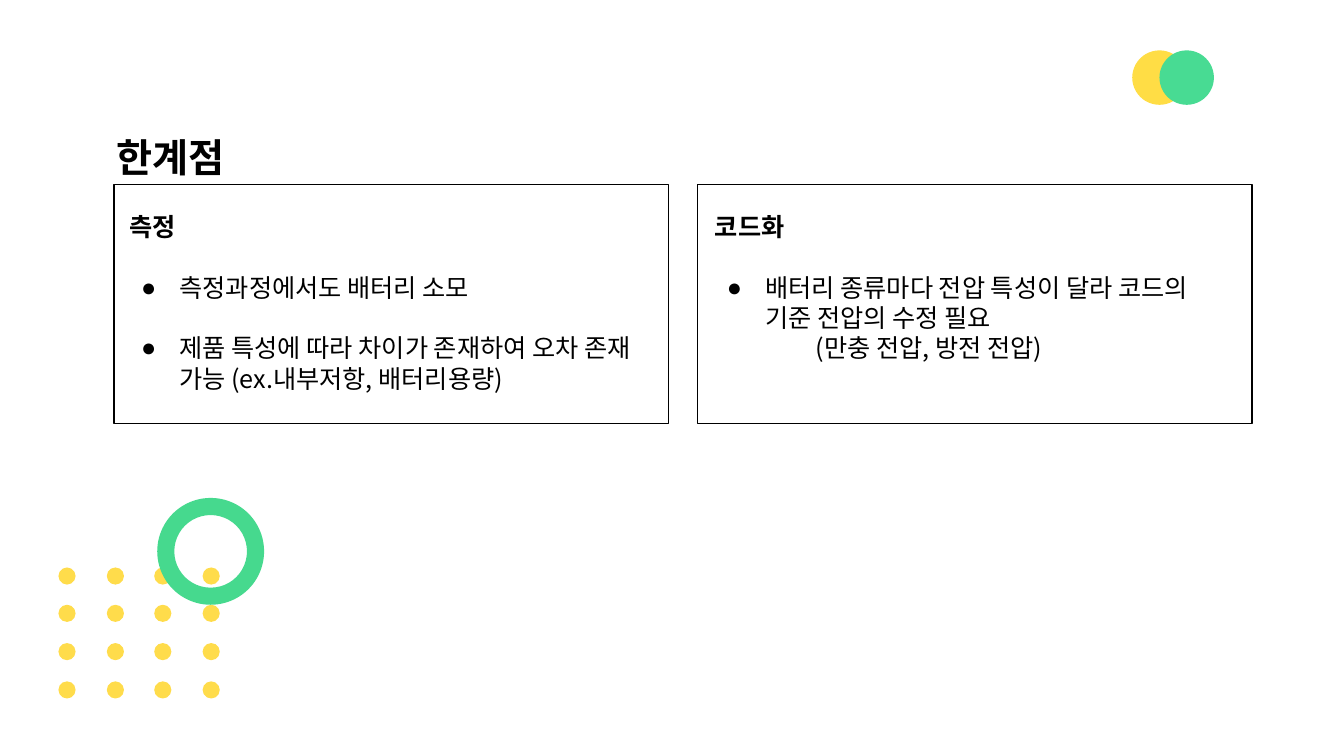
from itertools import product

from lxml import etree
from pptx import Presentation
from pptx.dml.color import RGBColor
from pptx.enum.shapes import MSO_SHAPE
from pptx.enum.text import MSO_ANCHOR, MSO_AUTO_SIZE, PP_ALIGN
from pptx.oxml.ns import qn
from pptx.util import Emu, Pt

PX = 9144
RECTANGLE, OVAL, DONUT = MSO_SHAPE.RECTANGLE, MSO_SHAPE.OVAL, MSO_SHAPE.DONUT
TOP, LEFT, GROW = MSO_ANCHOR.TOP, PP_ALIGN.LEFT, MSO_AUTO_SIZE.SHAPE_TO_FIT_TEXT
TWO_CONTENT = 3
COLORS = {"ink": "000000", "yellow": "FFDD45", "green": "48DB93",
          "dot": "FFDC4B", "ring": "46D98E"}
TITLE_FONT, BODY_FONT = "Arial", "Noto Sans CJK KR"
BODY_SIZE, BLANK_LINE = 18, 21.6


class SlideBuilder:
    """Draws styled elements on one slide, with lengths in hundredths of an inch."""

    def __init__(self, deck):
        self.page = deck.slides.add_slide(deck.slide_layouts[TWO_CONTENT])

    def color(self, name):
        return RGBColor.from_string(COLORS[name])

    def shape(self, kind, left, top, width, height, fill=None, line=None):
        shape = self.page.shapes.add_shape(
            kind, *(Emu(value * PX) for value in (left, top, width, height)))
        shape.shadow.inherit = False
        if fill:
            shape.fill.solid()
            shape.fill.fore_color.rgb = self.color(fill)
        else:
            shape.fill.background()
        if line:
            shape.line.color.rgb = self.color(line)
            shape.line.width = Pt(1)
        else:
            shape.line.fill.background()
        return shape

    def placeholder(self, index, left, top, width, height, inset):
        box = self.page.placeholders[index]
        box.left, box.top = Emu(left * PX), Emu(top * PX)
        box.width, box.height = Emu(width * PX), Emu(height * PX)
        frame = box.text_frame
        frame.word_wrap, frame.auto_size = True, GROW
        frame.vertical_anchor = TOP
        frame.margin_left = frame.margin_right = Emu(10 * PX)
        frame.margin_top = frame.margin_bottom = Emu(inset * PX)
        return frame

    def add_text(self, para, text, font, size, bold=False, before=0):
        para.alignment = LEFT
        para.space_before = Pt(before)
        span = para.add_run()
        span.text = text
        span.font.name, span.font.size, span.font.bold = font, Pt(size), bold
        span.font.color.rgb = self.color("ink")
        east_asian = etree.SubElement(span.font._element, qn("a:ea"))
        east_asian.set("typeface", BODY_FONT)

    def indent(self, para, margin, first, bullet=None):
        properties = para._p.get_or_add_pPr()
        properties.set("marL", str(margin * PX))
        properties.set("indent", str(first * PX))
        if bullet:
            tint = etree.SubElement(properties, qn("a:buClr"))
            etree.SubElement(tint, qn("a:srgbClr")).set("val", COLORS["ink"])
            etree.SubElement(properties, qn("a:buChar")).set("char", bullet)
        else:
            etree.SubElement(properties, qn("a:buNone"))

    def title(self, text, *place):
        para = self.placeholder(0, *place, inset=5).paragraphs[0]
        para.line_spacing = 1.5
        self.add_text(para, text, TITLE_FONT, 28, bold=True)

    def topic(self, index, heading, bullets, note, *place):
        frame = self.placeholder(index, *place, inset=10)
        para = frame.paragraphs[0]
        self.add_text(para, heading, BODY_FONT, BODY_SIZE, bold=True)
        self.indent(para, 0, 0)
        for text in bullets:
            para = frame.add_paragraph()
            self.add_text(para, text, BODY_FONT, BODY_SIZE, before=BLANK_LINE)
            self.indent(para, 50, -38, "●")
        if note:
            para = frame.add_paragraph()
            self.add_text(para, note, BODY_FONT, BODY_SIZE)
            self.indent(para, 100, 0)


def main():
    deck = Presentation()
    deck.slide_width, deck.slide_height = Emu(1333 * PX), Emu(750 * PX)
    slide = SlideBuilder(deck)

    for left in (113, 692):
        slide.shape(RECTANGLE, left, 183, 550, 237, line="ink")
    for left, fill in ((1123, "yellow"), (1150, "green")):
        slide.shape(OVAL, left, 50, 54, 54, fill)
    for row, column in product(range(4), repeat=2):
        slide.shape(OVAL, round(58 + column * 47.67), round(563 + row * 37.5),
                    17, 17, "dot")
    ring = slide.shape(DONUT, 156, 494, 106, 106, "ring")
    ring.adjustments[0] = 0.16

    slide.title("한계점", 106, 104, 363, 57)
    slide.topic(1, "측정",
                ["측정과정에서도 배터리 소모",
                 "제품 특성에 따라 차이가 존재하여 오차 존재 가능 (ex.내부저항, 배터리용량)"],
                None, 118, 200, 539, 202)
    slide.topic(2, "코드화",
                ["배터리 종류마다 전압 특성이 달라 코드의 기준 전압의 수정 필요"],
                "(만충 전압, 방전 전압)", 699, 200, 536, 172)
    deck.save("out.pptx")


if __name__ == "__main__":
    main()
